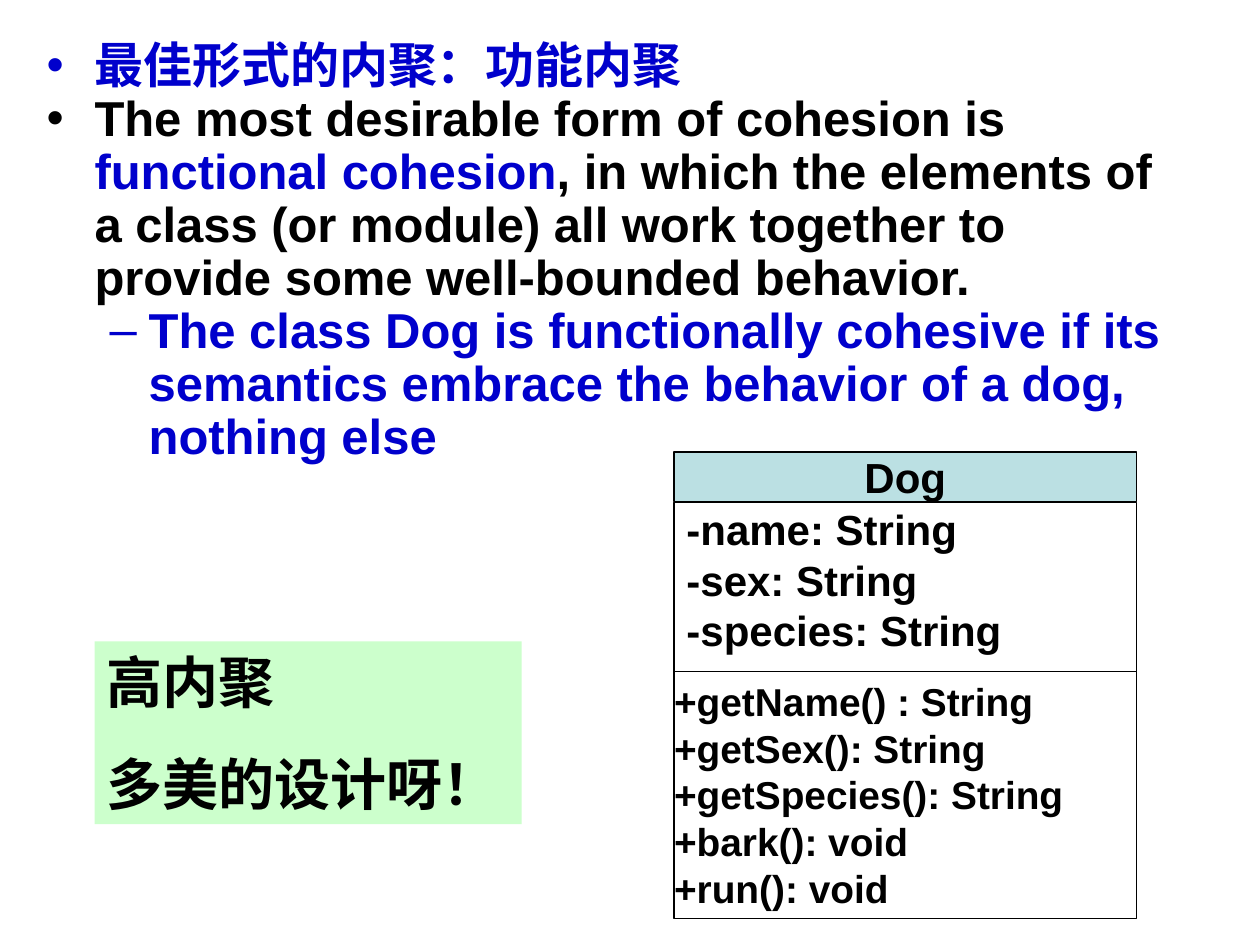
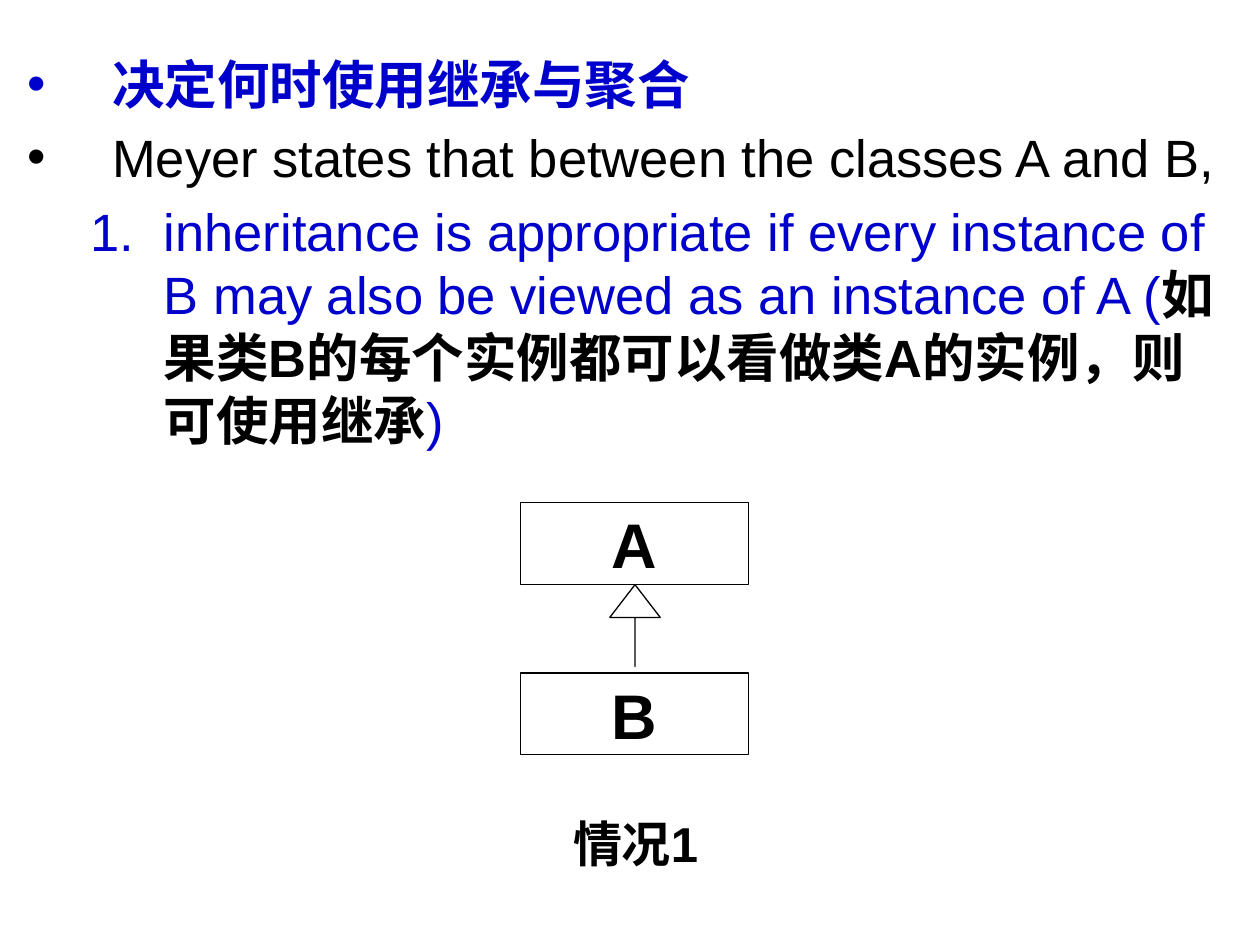
from lxml import etree
from pptx import Presentation
from pptx import util as u
from pptx.dml.color import RGBColor
from pptx.enum import shapes, text
from pptx.oxml import ns

PX = 9144
BLUE = RGBColor(0x00, 0x00, 0xCC)
BLACK = RGBColor(0x00, 0x00, 0x00)
WHITE = RGBColor(0xFF, 0xFF, 0xFF)
TEAL = RGBColor(0xBB, 0xE0, 0xE3)
GREEN = RGBColor(0xCC, 0xFF, 0xCC)
LATIN, HAN = "Arial", "Noto Sans CJK SC"
SIDES = ("margin_left", "margin_top", "margin_right", "margin_bottom")
PAD = (10, 5, 10, 5)
SLIM = (0, 3, 0, 3)
MID = text.MSO_ANCHOR.MIDDLE
TOP = text.MSO_ANCHOR.TOP
LEFT = text.PP_ALIGN.LEFT
CENTER = text.PP_ALIGN.CENTER
FULL = text.PP_ALIGN.JUSTIFY
RECT = shapes.MSO_SHAPE.RECTANGLE


def px(vals):
    return [u.Emu(val * PX) for val in vals]


def apply(item, form):
    for name, val in form.items():
        setattr(item, name, val)


def sub(node, tag, **attrs):
    return etree.SubElement(node, ns.qn("a:" + tag), attrs)


def add_run(para, words, size, color=BLACK, bold=True, face=LATIN):
    run = para.add_run()
    run.text = words
    apply(run.font, {"name": face, "size": u.Pt(size), "bold": bold})
    run.font.color.rgb = color
    sub(run.font._element, "ea", typeface=HAN)


def set_frame(frame, inset=PAD, anchor=TOP, wrap=True):
    apply(frame, dict(zip(SIDES, px(inset))))
    apply(frame, {"vertical_anchor": anchor, "word_wrap": wrap,
                  "auto_size": text.MSO_AUTO_SIZE.NONE})


def paras(frame, items):
    for i, item in enumerate(items):
        yield i, frame.paragraphs[0] if i == 0 else frame.add_paragraph(), item


def fill_text(frame, lines, size, align=LEFT, gap=0, face=LATIN):
    for i, para, line in paras(frame, lines):
        apply(para, {"alignment": align, "space_before": u.Pt(gap if i else 0)})
        add_run(para, line, size, face=face)


def set_mark(para, level, mark, color, left, hang):
    para.level = level
    props = para._p.get_or_add_pPr()
    props.set("marL", str(left * PX))
    props.set("indent", str(-hang * PX))
    sub(sub(props, "buClr"), "srgbClr", val=str(color))
    sub(props, "buFont", typeface=LATIN)
    if mark == "1.":
        sub(props, "buAutoNum", type="arabicPeriod")
    else:
        sub(props, "buChar", char=mark)


def add_list(slide, box, items, size, dents, gap=0, pitch=1.0):
    title = slide.shapes.title
    title._element.getparent().remove(title._element)
    body = slide.placeholders[1]
    apply(body, dict(zip(("left", "top", "width", "height"), px(box))))
    frame = body.text_frame
    set_frame(frame)
    for i, para, (level, mark, runs) in paras(frame, items):
        set_mark(para, level, mark, runs[0][1], *dents[level])
        apply(para, {"line_spacing": pitch, "alignment": LEFT,
                     "space_before": u.Pt(gap if i else 0)})
        for words, color, bold, face in runs:
            add_run(para, words, size, color, bold, face)


def add_box(parent, box, fill=WHITE, line=0.75, kind=RECT):
    shape = parent.shapes.add_shape(kind, *px(box))
    shape.shadow.inherit = False
    shape.fill.solid()
    shape.fill.fore_color.rgb = fill
    if line:
        shape.line.color.rgb = BLACK
        shape.line.width = u.Pt(line)
    else:
        shape.line.fill.background()
    return shape


def add_class(slide, box, name, fields, calls):
    left, top, width, _ = box
    group = slide.shapes.add_group_shape()
    parts = (
        (0, 39, TEAL, 1, SLIM, MID, [name], 24, CENTER),
        (173, 197, WHITE, 1, SLIM, MID, calls, 22.2, FULL),
        (40, 134, WHITE, 0.75, (10, 1, 10, 1), TOP, fields, 24, FULL),
    )
    for down, high, fill, line, inset, anchor, lines, size, align in parts:
        part = add_box(group, (left, top + down, width, high), fill, line)
        set_frame(part.text_frame, inset, anchor)
        fill_text(part.text_frame, lines, size, align)


def add_praise(slide, box, lines):
    note = add_box(slide, box, GREEN, 0)
    set_frame(note.text_frame)
    fill_text(note.text_frame, lines, 32, gap=20, face=HAN)


def add_tree(slide, box, names):
    left, top, width, high = box
    step, tall, wide = 135, 65, 40
    group = slide.shapes.add_group_shape()
    for i, name in enumerate(names):
        node = add_box(group, (left, top + i * step, width, tall))
        set_frame(node.text_frame, anchor=MID, wrap=False)
        fill_text(node.text_frame, [name], 36, CENTER)
    spot = (left + (width - wide) // 2 + 1, top + tall, wide, tall)
    arrow = add_box(group, spot, kind=shapes.MSO_SHAPE.UP_ARROW)
    arrow.adjustments[0] = 0
    arrow.adjustments[1] = 0.65


def add_label(slide, box, words):
    frame = slide.shapes.add_textbox(*px(box)).text_frame
    set_frame(frame)
    fill_text(frame, [words], 28)


def cohesion(slide):
    items = [
        (0, "•", [("最佳形式的内聚：功能内聚", BLUE, True, HAN)]),
        (0, "•", [
            ("The most desirable form of cohesion is ", BLACK, True, LATIN),
            ("functional cohesion", BLUE, True, LATIN),
            (", in which the elements of a class (or module) all work together "
             "to provide some well-bounded behavior.", BLACK, True, LATIN)]),
        (1, "–", [("The class Dog is functionally cohesive if its semantics "
                   "embrace the behavior of a dog, nothing else",
                   BLUE, True, LATIN)]),
    ]
    add_list(slide, (27, 28, 929, 354), items, 28, ((38, 38), (81, 31)), pitch=0.9)
    add_class(slide, (535, 359, 367, 370), "Dog",
              ["-name: String", "-sex: String", "-species: String"],
              ["+getName() : String", "+getSex(): String",
               "+getSpecies(): String", "+bark(): void", "+run(): void"])
    add_praise(slide, (75, 509, 339, 145), ["高内聚", "多美的设计呀！"])


def heritage(slide):
    items = [
        (0, "•", [("决定何时使用继承与聚合", BLUE, True, LATIN)]),
        (0, "•", [("Meyer states that between the classes A and B,",
                   BLACK, False, LATIN)]),
        (1, "1.", [
            ("inheritance is appropriate if every instance of B may also be "
             "viewed as an instance of A (", BLUE, False, LATIN),
            ("如果类B的每个实例都可以看做类A的实例，则可使用继承",
             BLACK, True, LATIN),
            (")", BLUE, False, LATIN)]),
    ]
    add_list(slide, (12, 36, 976, 347), items, 30, ((67, 67), (108, 58)), gap=6)
    add_tree(slide, (413, 399, 181, 200), "AB")
    add_label(slide, (445, 641, 134, 57), "情况1")


def main():
    deck = Presentation()
    deck.slide_width, deck.slide_height = px((1000, 750))
    for build in (cohesion, heritage):
        build(deck.slides.add_slide(deck.slide_layouts[1]))
    deck.save("out.pptx")


if __name__ == "__main__":
    main()
